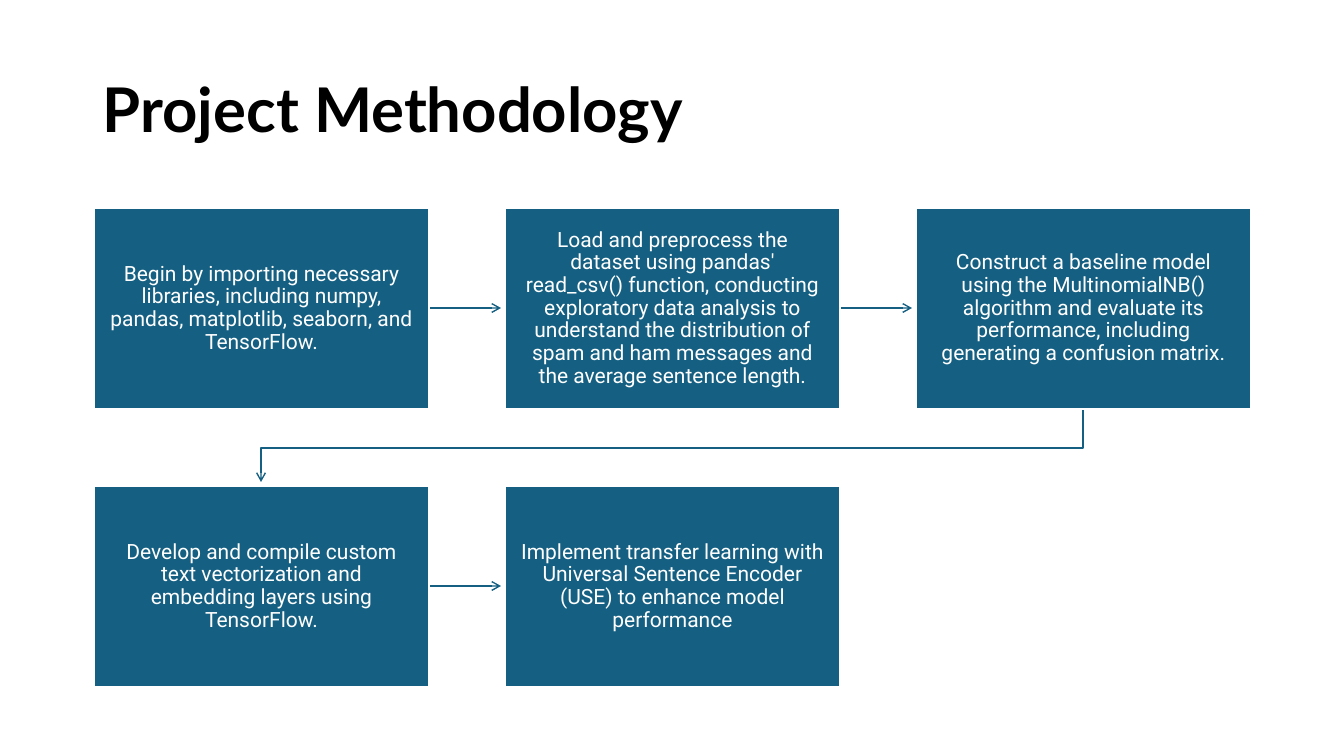
"""Build the project methodology slide: five steps joined by arrows."""
from lxml.etree import SubElement
from pptx import Presentation
from pptx.dml.color import RGBColor
from pptx.enum.shapes import MSO_CONNECTOR, MSO_SHAPE
from pptx.enum.text import MSO_ANCHOR, PP_ALIGN
from pptx.oxml.ns import qn
from pptx.util import Pt

SCALE = 914400 / 100.8
TEAL, WHITE, BLACK = "156082", "FFFFFF", "000000"
LEFT, TOP, WIDTH, HEIGHT = 94, 208, 335, 201
COLUMN_STEP, ROW_STEP, COLUMNS = 411, 278, 3
ARROW_LENGTH = 73

STEPS = [
    "Begin by importing necessary libraries, including numpy, pandas, "
    "matplotlib, seaborn, and TensorFlow.",
    "Load and preprocess the dataset using pandas' read_csv() function, "
    "conducting exploratory data analysis to understand the distribution of "
    "spam and ham messages and the average sentence length.",
    "Construct a baseline model using the MultinomialNB() algorithm and "
    "evaluate its performance, including generating a confusion matrix.",
    "Develop and compile custom text vectorization and embedding layers using "
    "TensorFlow.",
    "Implement transfer learning with Universal Sentence Encoder (USE) to "
    "enhance model performance",
]


def px(*lengths):
    """Turn pixel lengths into a list of EMU."""
    return [round(length * SCALE) for length in lengths]


def color(value):
    """Turn a hex string into a colour."""
    return RGBColor.from_string(value)


def write(shape, text, font, size, hex_color, align, bold=False):
    """Put one vertically centred paragraph into a shape."""
    frame = shape.text_frame
    frame.word_wrap = True
    frame.vertical_anchor = MSO_ANCHOR.MIDDLE
    para = frame.paragraphs[0]
    para.text = text
    para.alignment = align
    para.line_spacing = 0.9
    para.font.name = font
    para.font.size = Pt(size)
    para.font.bold = bold
    para.font.color.rgb = color(hex_color)


def add_title(page, text):
    """Add the slide heading."""
    box = page.shapes.add_textbox(*px(93, 40, 1159, 146))
    write(box, text, "Lato", 44, BLACK, PP_ALIGN.LEFT, bold=True)


def add_step(page, left, top, text):
    """Add one filled step box with its text."""
    box = page.shapes.add_shape(MSO_SHAPE.RECTANGLE, *px(left, top, WIDTH, HEIGHT))
    box.shadow.inherit = False
    box.fill.solid()
    box.fill.fore_color.rgb = color(TEAL)
    box.line.color.rgb = color(WHITE)
    box.line.width = Pt(1.5)
    frame = box.text_frame
    frame.margin_left, frame.margin_right = px(16, 16)
    frame.margin_top, frame.margin_bottom = px(17, 17)
    write(box, text, "Roboto", 15, WHITE, PP_ALIGN.CENTER)


def style_arrow(shape):
    """Colour a line and give its end an open arrowhead."""
    shape.line.color.rgb = color(TEAL)
    shape.line.width = Pt(1)
    SubElement(shape.line._get_or_add_ln(), qn("a:tailEnd"), type="arrow")


def add_arrow(page, left, top):
    """Add a straight arrow from the right side of the box at left, top."""
    start, middle = left + WIDTH - 1, top + HEIGHT // 2
    arrow = page.shapes.add_connector(
        MSO_CONNECTOR.STRAIGHT, *px(start, middle, start + ARROW_LENGTH, middle))
    style_arrow(arrow)
    SubElement(arrow._element.spPr, qn("a:effectLst"))


def add_return_arrow(page, left, top):
    """Add a bent arrow from the box at left, top to the start of the next row."""
    start, end = left + WIDTH // 2, LEFT + WIDTH // 2
    bottom = top + HEIGHT
    bend, tip = bottom + 39, bottom + ARROW_LENGTH
    builder = page.shapes.build_freeform(start, bottom, scale=SCALE)
    builder.add_line_segments([(start, bend), (end, bend), (end, tip)], close=False)
    arrow = builder.convert_to_shape()
    arrow.fill.background()
    arrow.shadow.inherit = False
    style_arrow(arrow)


def main():
    """Lay out the steps in rows and save the deck."""
    deck = Presentation()
    deck.slide_width, deck.slide_height = px(1344, 756)
    page = deck.slides.add_slide(deck.slide_layouts[6])
    add_title(page, "Project Methodology")
    for index, text in enumerate(STEPS):
        row, column = divmod(index, COLUMNS)
        left, top = LEFT + column * COLUMN_STEP, TOP + row * ROW_STEP
        if index < len(STEPS) - 1:
            connect = add_return_arrow if column == COLUMNS - 1 else add_arrow
            connect(page, left, top)
        add_step(page, left, top, text)
    deck.save("out.pptx")


if __name__ == "__main__":
    main()
